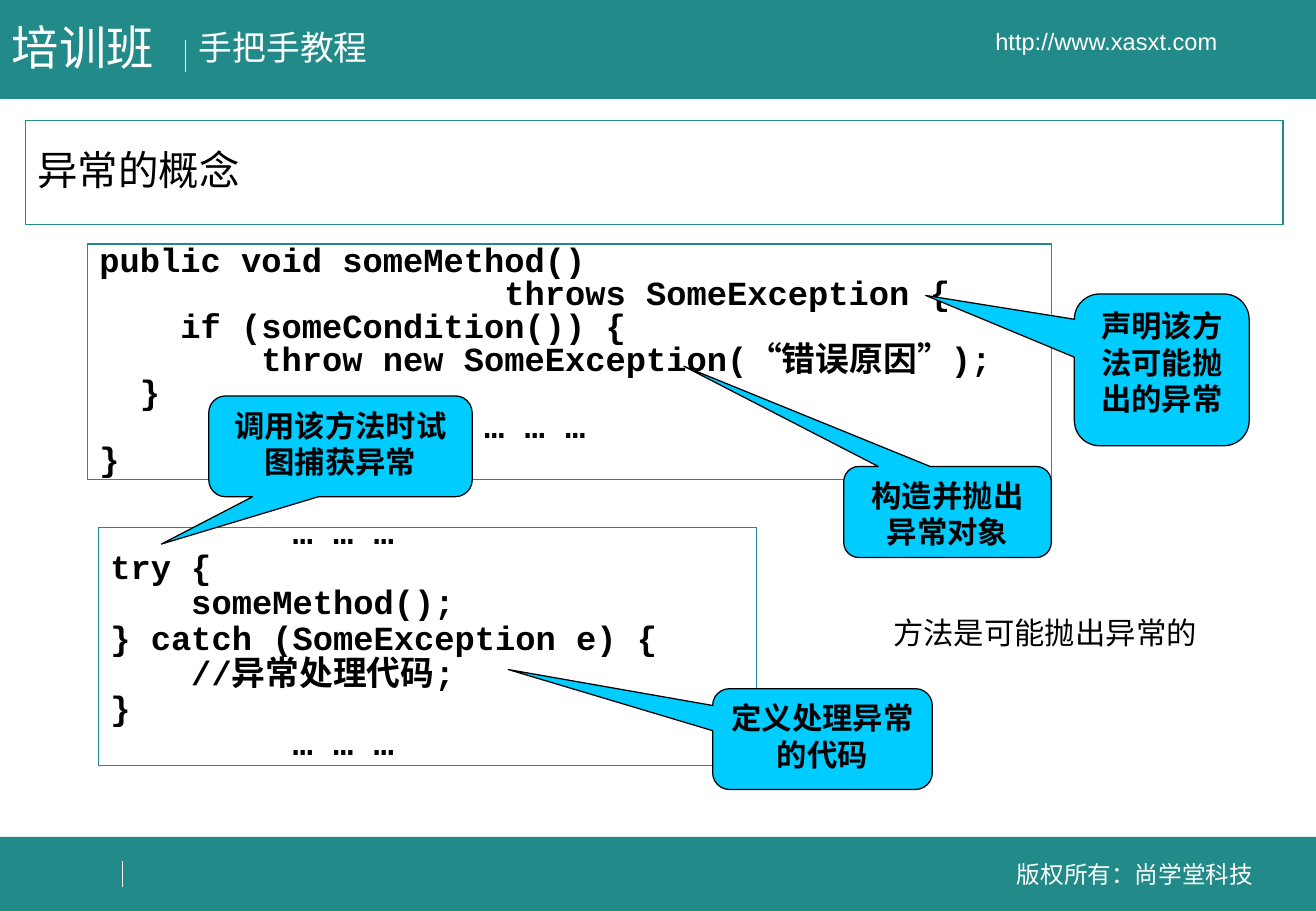
from lxml import etree
from pptx import Presentation
from pptx.dml.color import RGBColor
from pptx.enum.shapes import MSO_CONNECTOR, MSO_SHAPE
from pptx.enum.text import MSO_ANCHOR, PP_ALIGN
from pptx.oxml.ns import qn
from pptx.util import Inches, Pt

TEAL = RGBColor(0x22, 0x8A, 0x88)
CYAN = RGBColor(0x00, 0xCC, 0xFF)
BLACK = RGBColor(0, 0, 0)
WHITE = RGBColor(0xFF, 0xFF, 0xFF)
CJK_FONT = "Noto Sans CJK SC"
WIDTH, HEIGHT = 10.84, 7.5

# Content: boxes are left, top, width, height in inches
BARS = [(0, 6.89, WIDTH, 0.61), (0, 0, WIDTH, 0.81)]
DIVIDERS = [(1.53, 0.33, 0.59), (1.01, 7.09, 7.3)]  # x, top, bottom

LABELS = [  # text, box, size, colour, alignment, anchor
    ("培训班", (0, 0.1, 1.5, 0.57), 28, WHITE, PP_ALIGN.LEFT, MSO_ANCHOR.TOP),
    ("手把手教程", (1.54, 0.17, 1.8, 0.44), 20, WHITE, PP_ALIGN.LEFT, MSO_ANCHOR.TOP),
    ("http://www.xasxt.com", (7.4, 0.17, 3.43, 0.34), 14, WHITE,
     PP_ALIGN.CENTER, MSO_ANCHOR.MIDDLE),
    ("版权所有：尚学堂科技", (8.09, 7.03, 2.52, 0.34), 14, WHITE,
     PP_ALIGN.CENTER, MSO_ANCHOR.MIDDLE),
    ("方法是可能抛出异常的", (7.26, 5.01, 3.57, 0.4), 18, BLACK,
     PP_ALIGN.LEFT, MSO_ANCHOR.TOP),
]

TITLE = ("异常的概念", (0.21, 0.99, 10.36, 0.86))

METHOD_CODE = [
    "public void someMethod()",
    "                    throws SomeException {",
    "    if (someCondition()) {",
    "        throw new SomeException(“错误原因”);",
    "  }",
    "                   … … …",
    "}",
]
CATCH_CODE = [
    "         … … …",
    "try {",
    "    someMethod();",
    "} catch (SomeException e) {",
    "    //异常处理代码;",
    "}",
    "         … … …",
]
CODE_BOXES = [  # lines, box, line spacing, top inset
    (METHOD_CODE, (0.72, 2.01, 7.94, 1.94), 0.3, 0.15),
    (CATCH_CODE, (0.81, 4.34, 5.42, 1.96), 0.35, 0.05),
]

CALLOUTS = [  # text, box, pointer offset as a share of width and height
    ("声明该方法可能抛出的异常", (8.85, 2.42, 1.44, 1.25), (-1.35, -0.49)),
    ("构造并抛出异常对象", (6.95, 3.84, 1.71, 0.75), (-1.27, -1.6)),
    ("调用该方法时试图捕获异常", (1.72, 3.26, 2.17, 0.83), (-0.68, 0.97)),
    ("定义处理异常的代码", (5.87, 5.67, 1.81, 0.83), (-1.43, -0.69)),
]


def add_box(kind, box, fill=None, line=TEAL, line_width=0.75):
    shape = slide.shapes.add_shape(kind, *map(Inches, box))
    shape.shadow.inherit = False
    if fill is None:
        shape.fill.background()
    else:
        shape.fill.solid()
        shape.fill.fore_color.rgb = fill
    shape.line.color.rgb = line
    shape.line.width = Pt(line_width)
    return shape


def write(shape, lines, font, color=BLACK, align=PP_ALIGN.LEFT,
          anchor=MSO_ANCHOR.TOP, spacing=None, space_before=0, top_inset=0.05):
    frame = shape.text_frame
    frame_format = {
        "word_wrap": True, "vertical_anchor": anchor,
        "margin_left": Inches(0.1), "margin_right": Inches(0.1),
        "margin_top": Inches(top_inset), "margin_bottom": Inches(0.05),
    }
    for name, value in frame_format.items():
        setattr(frame, name, value)
    for index, line in enumerate(lines):
        paragraph = frame.add_paragraph() if index else frame.paragraphs[0]
        paragraph.alignment = align
        if spacing:
            paragraph.line_spacing = spacing
        if index and space_before:
            paragraph.space_before = Pt(space_before)
        run = paragraph.add_run()
        run.text = line
        run.font.color.rgb = color
        for name, value in font.items():
            setattr(run.font, name, value)
        east_asian = etree.SubElement(run.font._element, qn("a:ea"))
        east_asian.set("typeface", CJK_FONT)


presentation = Presentation()
presentation.slide_width = Inches(WIDTH)
presentation.slide_height = Inches(HEIGHT)
slide = presentation.slides.add_slide(presentation.slide_layouts[6])

# Header and footer
for bar in BARS:
    add_box(MSO_SHAPE.RECTANGLE, bar, TEAL, line_width=0.25)
for x, top, bottom in DIVIDERS:
    divider = slide.shapes.add_connector(
        MSO_CONNECTOR.STRAIGHT, *map(Inches, (x, top, x, bottom)))
    divider.line.color.rgb = WHITE
    divider.line.width = Pt(0.75)
    etree.SubElement(divider._element.spPr, qn("a:effectLst"))

# Plain labels
for text, box, size, color, align, anchor in LABELS:
    label = slide.shapes.add_textbox(*map(Inches, box))
    write(label, [text], {"name": "Arial", "size": Pt(size)}, color, align, anchor)

# Title
title_text, title_box = TITLE
write(add_box(MSO_SHAPE.RECTANGLE, title_box), [title_text],
      {"name": CJK_FONT, "size": Pt(24)}, anchor=MSO_ANCHOR.MIDDLE, spacing=0.9)

# Code boxes
code_font = {"name": "Courier New", "size": Pt(20), "bold": True}
for lines, box, spacing, top_inset in CODE_BOXES:
    write(add_box(MSO_SHAPE.RECTANGLE, box), lines, code_font,
          spacing=spacing, space_before=12.5, top_inset=top_inset)

# Callouts
callout_font = {"name": "Times New Roman", "size": Pt(18), "bold": True}
for text, box, pointer in CALLOUTS:
    callout = add_box(MSO_SHAPE.ROUNDED_RECTANGULAR_CALLOUT, box, CYAN, BLACK)
    callout.adjustments[0], callout.adjustments[1] = pointer
    write(callout, [text], callout_font, align=PP_ALIGN.CENTER)

presentation.save("out.pptx")
